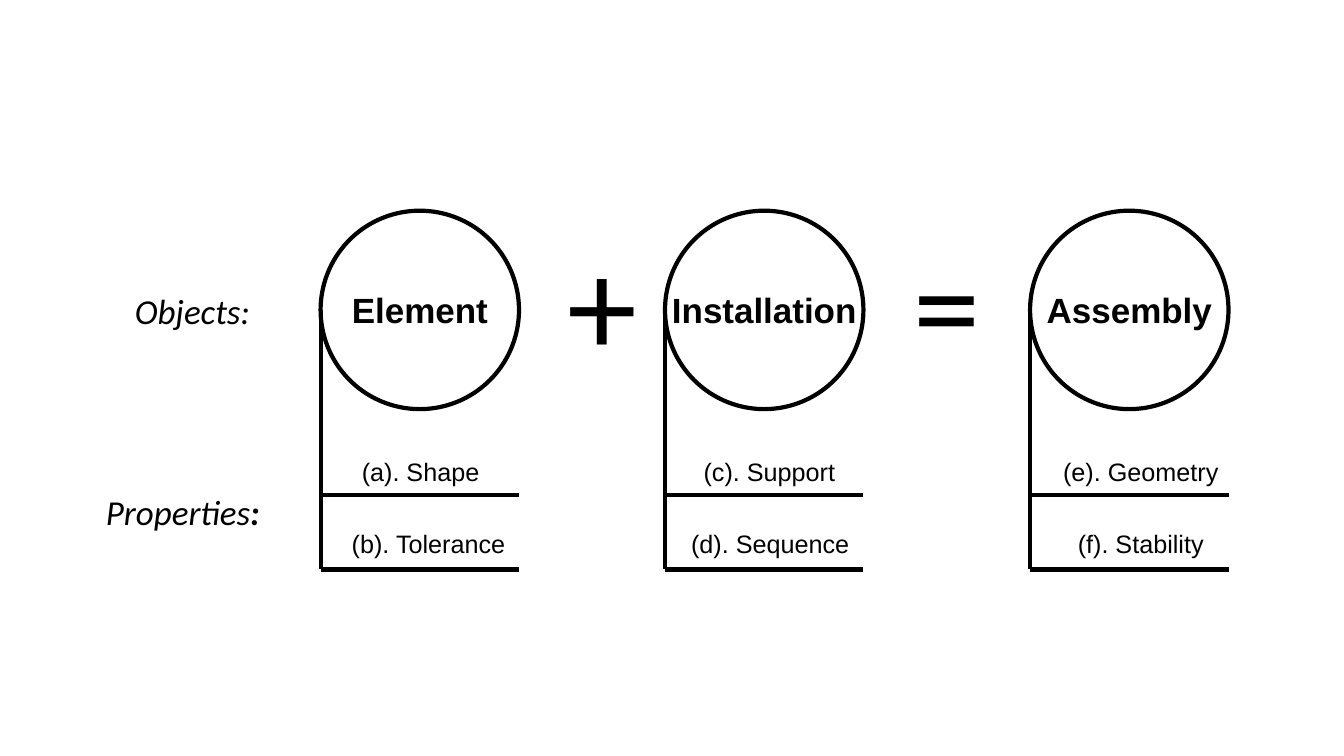
from pptx import Presentation
from pptx.dml.color import RGBColor
from pptx.enum.shapes import MSO_CONNECTOR, MSO_SHAPE
from pptx.enum.text import MSO_ANCHOR, MSO_AUTO_SIZE, PP_ALIGN
from pptx.oxml.ns import qn
from pptx.util import Cm, Pt
from lxml import etree

BLACK = RGBColor(0, 0, 0)
WHITE = RGBColor(255, 255, 255)
ELLIPSE = MSO_SHAPE.OVAL
STRAIGHT = MSO_CONNECTOR.STRAIGHT
CENTER = PP_ALIGN.CENTER
MIDDLE = MSO_ANCHOR.MIDDLE
FIT_SHAPE = MSO_AUTO_SIZE.SHAPE_TO_FIT_TEXT

DIAMETER = 5
CIRCLE_TOP = 5.31
CIRCLE_MIDDLE = CIRCLE_TOP + DIAMETER / 2
BRANCHES = (12.47, 14.35)
PROPERTY_MIDDLES = (11.88, 13.69)

# Object name, left edge, then (text, centre from left edge, box width) per property
OBJECTS = [
    ("Element", 8.08, [("(a). Shape", 2.52, 3.5), ("(b). Tolerance", 2.72, 4.42)]),
    ("Installation", 16.76, [("(c). Support", 2.63, 6.83), ("(d). Sequence", 2.65, 4.55)]),
    ("Assembly", 25.96, [("(e). Geometry", 2.79, 4.47), ("(f). Stability", 2.79, 3.71)]),
]


class Diagram:
    """Draws black outlined elements on one slide, with lengths in centimetres."""

    heading_size = 25
    property_size = 18
    line_width = Pt(3)

    def __init__(self, slide):
        self.slide = slide

    def format_run(self, run, font, size, bold=False, italic=False):
        run.font.name = font
        run.font.size = Pt(size)
        run.font.bold = bold
        run.font.italic = italic
        run.font.color.rgb = BLACK

    def set_text(self, shape, text, font, size, bold=False, italic=False):
        text_frame = shape.text_frame
        text_frame.word_wrap = False
        text_frame.vertical_anchor = MIDDLE
        text_frame.text = text
        paragraph = text_frame.paragraphs[0]
        paragraph.alignment = CENTER
        self.format_run(paragraph.runs[0], font, size, bold, italic)
        return paragraph

    def label(self, text, center, middle, width, height, font, size, italic=False):
        """Adds a text box around a centre point and returns its paragraph."""
        box = self.slide.shapes.add_textbox(
            Cm(center - width / 2), Cm(middle - height / 2), Cm(width), Cm(height))
        paragraph = self.set_text(box, text, font, size, italic=italic)
        box.text_frame.auto_size = FIT_SHAPE
        return paragraph

    def circle(self, name, left):
        shape = self.slide.shapes.add_shape(
            ELLIPSE, Cm(left), Cm(CIRCLE_TOP), Cm(DIAMETER), Cm(DIAMETER))
        shape.shadow.inherit = False
        shape.fill.solid()
        shape.fill.fore_color.rgb = WHITE
        shape.line.color.rgb = BLACK
        shape.line.width = self.line_width
        self.set_text(shape, name, "Arial", self.heading_size, bold=True)

    def line(self, x1, y1, x2, y2):
        connector = self.slide.shapes.add_connector(
            STRAIGHT, Cm(x1), Cm(y1), Cm(x2), Cm(y2))
        connector.line.color.rgb = BLACK
        connector.line.width = self.line_width
        etree.SubElement(connector._element.spPr, qn("a:effectLst"))

    def object_with_properties(self, name, left, properties):
        self.circle(name, left)
        self.line(left, CIRCLE_MIDDLE, left, BRANCHES[-1])
        for branch, middle, (text, offset, width) in zip(
                BRANCHES, PROPERTY_MIDDLES, properties):
            self.line(left + DIAMETER, branch, left, branch)
            self.label(text, left + offset, middle, width, 1.02,
                       "Arial", self.property_size)

    def operator(self, sign, center, size):
        self.label(sign, center, 7.58, 2.2, 4.45, "Calibri", size)

    def row_heading(self, text, center, middle, width):
        return self.label(text, center, middle, width, 1.32,
                          "Calibri", self.heading_size, italic=True)


def main():
    presentation = Presentation()
    presentation.slide_width = Cm(33.87)
    presentation.slide_height = Cm(19.05)
    slide = presentation.slides.add_slide(presentation.slide_layouts[6])
    diagram = Diagram(slide)

    for name, left, properties in OBJECTS:
        diagram.object_with_properties(name, left, properties)
    diagram.operator("+", 15.16, 100)
    diagram.operator("=", 23.86, 96)

    diagram.row_heading("Objects:", 4.85, 7.82, 3.56)
    heading = diagram.row_heading("Properties", 4.61, 12.9, 4.45)
    colon = heading.add_run()
    colon.text = ":"
    diagram.format_run(colon, "Calibri", diagram.heading_size, bold=True, italic=True)

    presentation.save("out.pptx")


if __name__ == "__main__":
    main()
